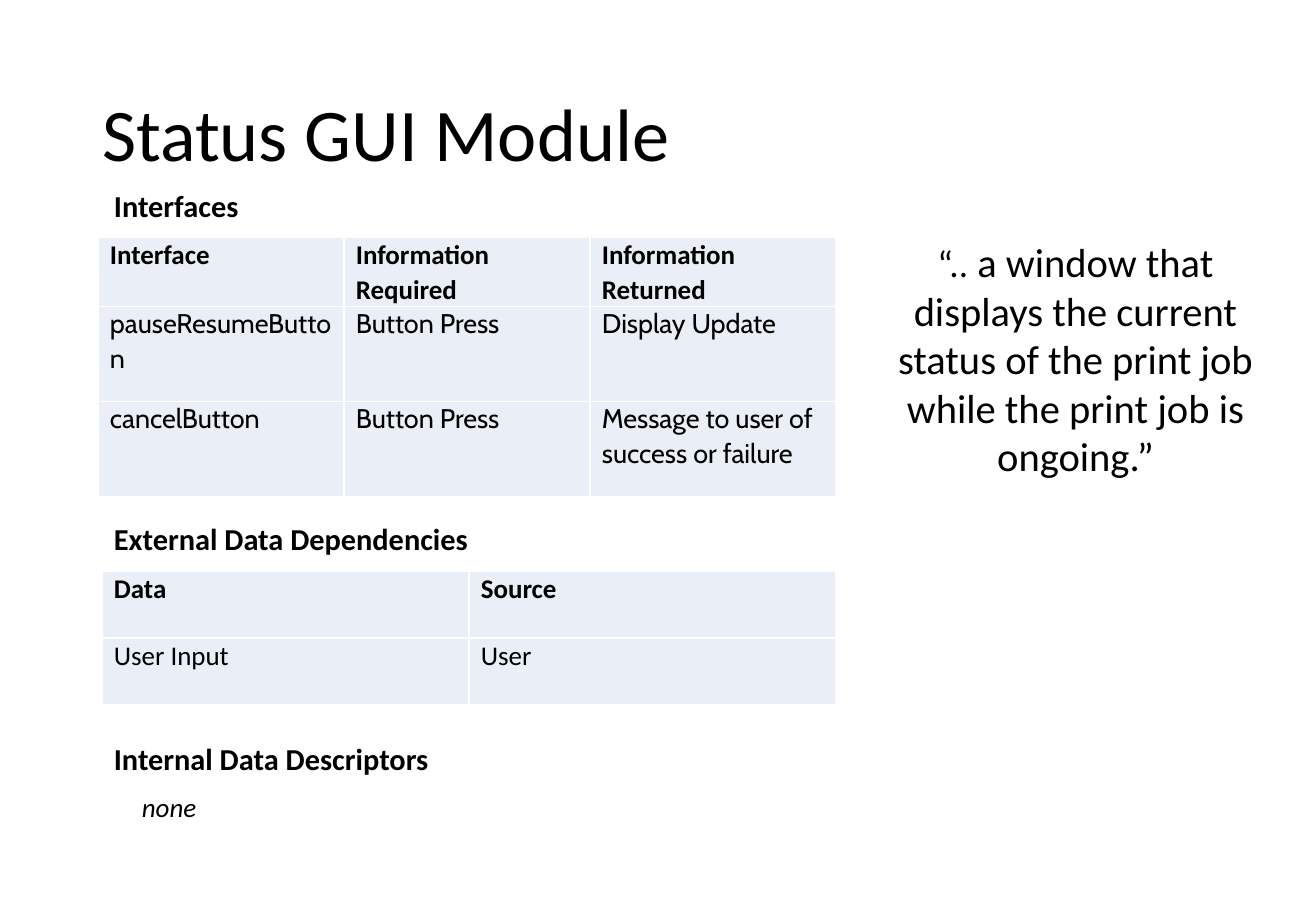
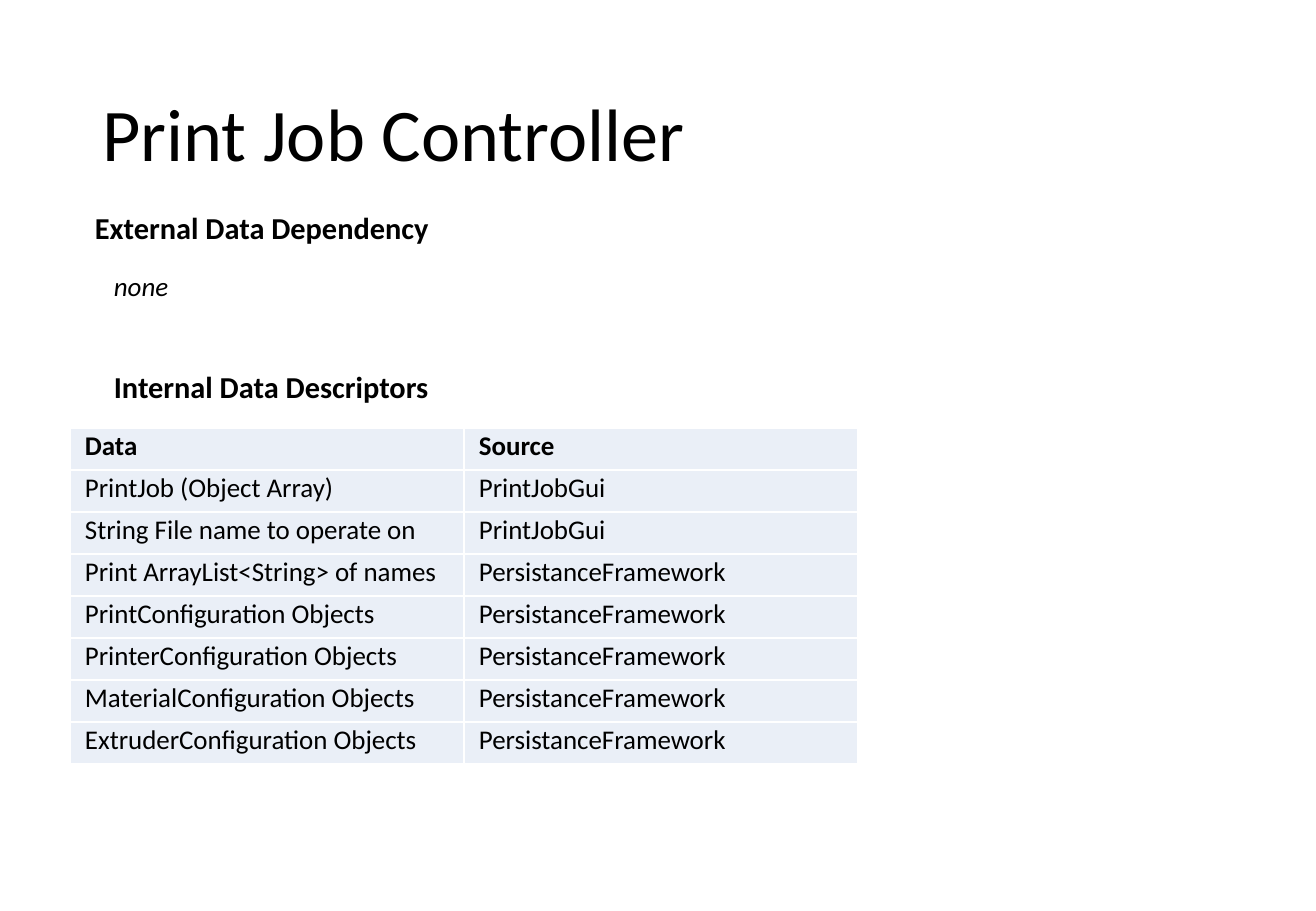
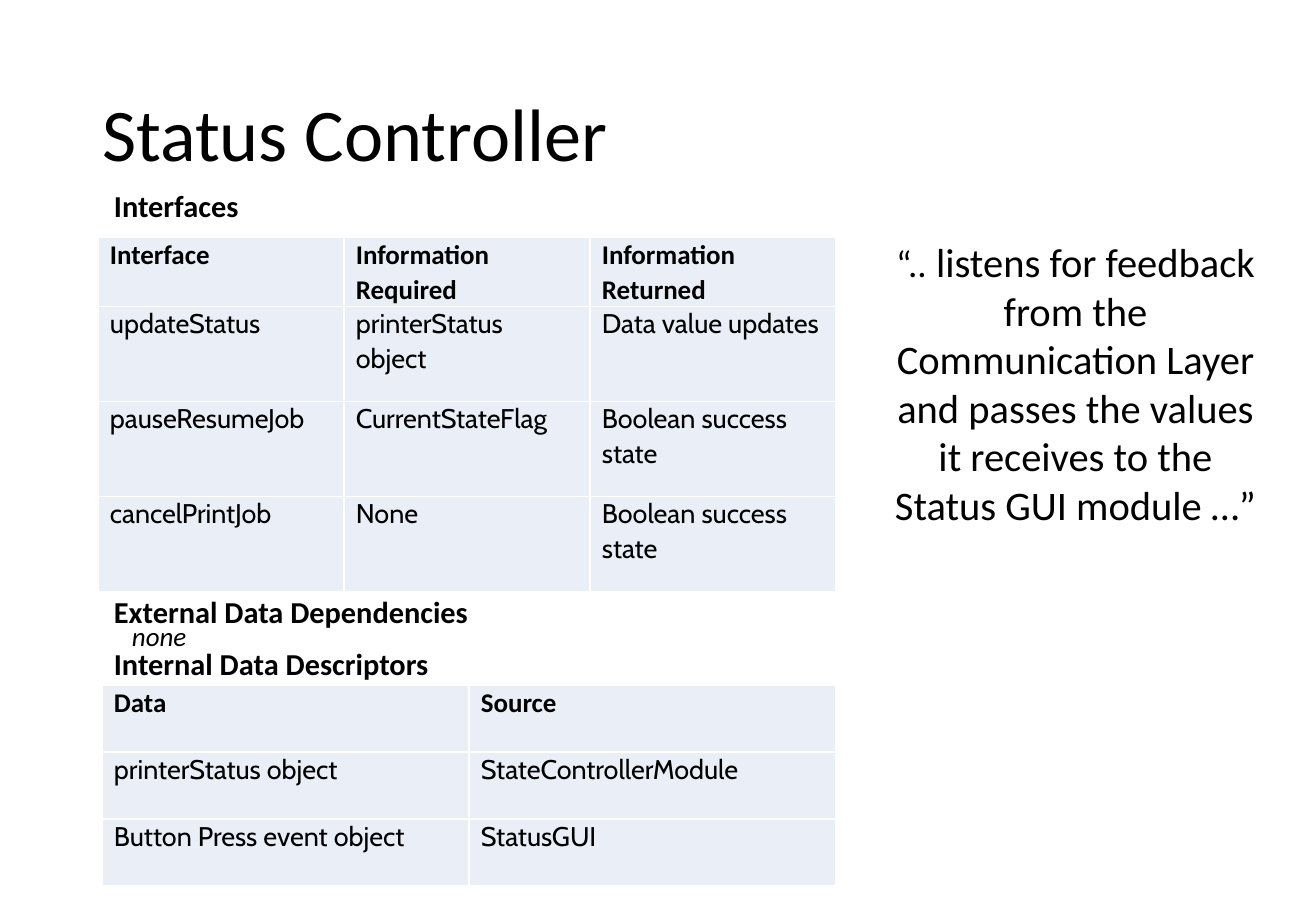
"""Build three slides that describe the modules of a print system."""
from lxml.etree import SubElement as Sub
from pptx import Presentation
from pptx.dml.color import RGBColor as RGB
from pptx.enum.text import MSO_ANCHOR as Anchor, MSO_AUTO_SIZE as Auto, PP_ALIGN as Align
from pptx.oxml.ns import qn
from pptx.util import Emu, Pt

SCALE = 914400 / 121.5
HUES = {"ink": "000000", "cell": "EAEFF7", "rule": "FFFFFF"}
BASE, BODY = "Calibri", "Cabin"
HEAD = ["Interface", "Information Required", "Information Returned"]
PAIR = ["Data", "Source"]
STORE = "PersistanceFramework"
STYLES = {
    "head": dict(size=18, bold=True),
    "note": dict(size=16, italic=True),
}
HIGH = {"head": 49, "note": 45}

SLIDES = [
    {
        "title": "Status GUI Module",
        "labels": [
            ("head", 102, 181, 326, "Interfaces"),
            ("head", 102, 514, 444, "External Data Dependencies"),
            ("head", 102, 734, 411, "Internal Data Descriptors"),
            ("note", 130, 785, 252, "none"),
        ],
        "tables": [
            (98, 237, 246, 69, 95, 12, BODY, [
                HEAD,
                ["pauseResumeButton", "Button Press", "Display Update"],
                ["cancelButton", "Button Press", "Message to user of success or failure"],
            ]),
            (102, 571, 367, 67, 67, 12, BASE, [PAIR, ["User Input", "User"]]),
        ],
        "quote": (258, " a window that displays the current status of the print job "
                       "while the print job is ongoing.”"),
    },
    {
        "title": "Print Job Controller",
        "labels": [
            ("head", 83, 203, 386, "External Data Dependency"),
            ("note", 102, 264, 175, "none"),
            ("head", 102, 362, 451, "Internal Data Descriptors"),
        ],
        "tables": [
            (70, 428, 394, 42, 42, 15, BASE, [
                PAIR,
                ["PrintJob (Object Array)", "PrintJobGui"],
                ["String File name to operate on", "PrintJobGui"],
                ["Print ArrayList<String> of names", STORE],
                ["PrintConfiguration Objects", STORE],
                ["PrinterConfiguration Objects", STORE],
                ["MaterialConfiguration Objects", STORE],
                ["ExtruderConfiguration Objects", STORE],
            ]),
        ],
    },
    {
        "title": "Status Controller",
        "labels": [
            ("head", 102, 181, 326, "Interfaces"),
            ("head", 102, 587, 467, "External Data Dependencies"),
            ("note", 120, 614, 271, "none"),
            ("head", 102, 639, 424, "Internal Data Descriptors"),
        ],
        "tables": [
            (98, 237, 246, 69, 95, 12, BODY, [
                HEAD,
                ["updateStatus", "printerStatus object", "Data value updates"],
                ["pauseResumeJob", "CurrentStateFlag", "Boolean success state"],
                ["cancelPrintJob", "None", "Boolean success state"],
            ]),
            (102, 685, 367, 67, 67, 12, BODY, [
                PAIR,
                ["printerStatus object", "StateControllerModule"],
                ["Button Press event object", "StatusGUI"],
            ]),
        ],
        "quote": (306, " listens for feedback from the Communication Layer and passes "
                       "the values it receives to the Status GUI module …”"),
    },
]


def px(*nums):
    """Turn pixels into a list of EMU lengths."""
    return [Emu(round(n * SCALE)) for n in nums]


def write(para, text, size, bold=False, italic=False, face=BASE):
    """Add one formatted run to a paragraph."""
    run = para.add_run()
    run.text = text
    font = run.font
    font.name, font.size, font.bold, font.italic = face, Pt(size), bold, italic
    font.color.rgb = RGB.from_string(HUES["ink"])


deck = Presentation()
deck.slide_width, deck.slide_height = px(1316, 911)

for page in SLIDES:
    slide = deck.slides.add_slide(deck.slide_layouts[5])
    title = slide.shapes.title
    title.left, title.top, title.width, title.height = px(90, 49, 1135, 176)
    frame = title.text_frame
    frame.auto_size, frame.vertical_anchor = Auto.NONE, Anchor.MIDDLE
    para = frame.paragraphs[0]
    para.alignment, para.line_spacing = Align.LEFT, 0.9
    write(para, page["title"], 44)

    for left, top, wide, first, rest, inset, face, rows in page["tables"]:
        cols = len(rows[0])
        high = first + rest * (len(rows) - 1)
        table = slide.shapes.add_table(len(rows), cols, *px(left, top, wide * cols, high)).table
        table.first_row = table.horz_banding = False
        for col in table.columns:
            col.width = px(wide)[0]
        for r, row in enumerate(rows):
            table.rows[r].height = px(rest if r else first)[0]
            for c, text in enumerate(row):
                cell = table.cell(r, c)
                cell.margin_left, cell.margin_right = px(inset, inset)
                cell.margin_top = cell.margin_bottom = 0
                props = cell._tc.get_or_add_tcPr()
                for side in ("lnL", "lnR", "lnT", "lnB"):
                    line = Sub(props, qn("a:" + side), w=str(Pt(1)))
                    Sub(Sub(line, qn("a:solidFill")), qn("a:srgbClr"), val=HUES["rule"])
                cell.fill.solid()
                cell.fill.fore_color.rgb = RGB.from_string(HUES["cell"])
                para = cell.text_frame.paragraphs[0]
                para.line_spacing = 1.05
                if r:
                    write(para, text, 16, face=face)
                else:
                    para.alignment, para.space_after = Align.JUSTIFY, Pt(8)
                    write(para, text, 16, bold=True)

    boxes = [(left, top, wide, HIGH[kind], Align.LEFT, [(text, STYLES[kind])])
             for kind, left, top, wide, text in page["labels"]]
    if "quote" in page:
        high, text = page["quote"]
        runs = [("“..", dict(size=22)), (text, dict(size=24))]
        boxes.append((881, 231, 389, high, Align.CENTER, runs))
    for left, top, wide, high, align, runs in boxes:
        frame = slide.shapes.add_textbox(*px(left, top, wide, high)).text_frame
        frame.word_wrap, frame.auto_size = True, Auto.SHAPE_TO_FIT_TEXT
        para = frame.paragraphs[0]
        para.alignment = align
        for text, style in runs:
            write(para, text, **style)

deck.save("out.pptx")
